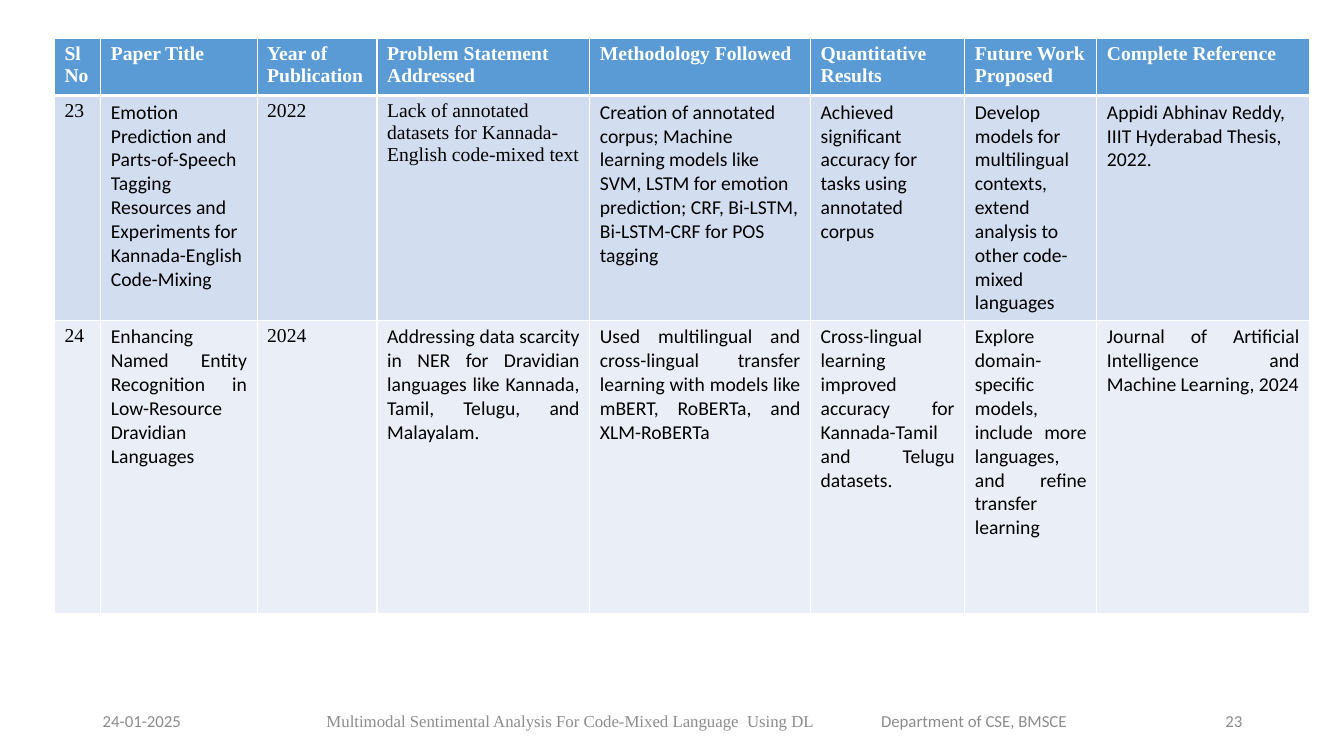
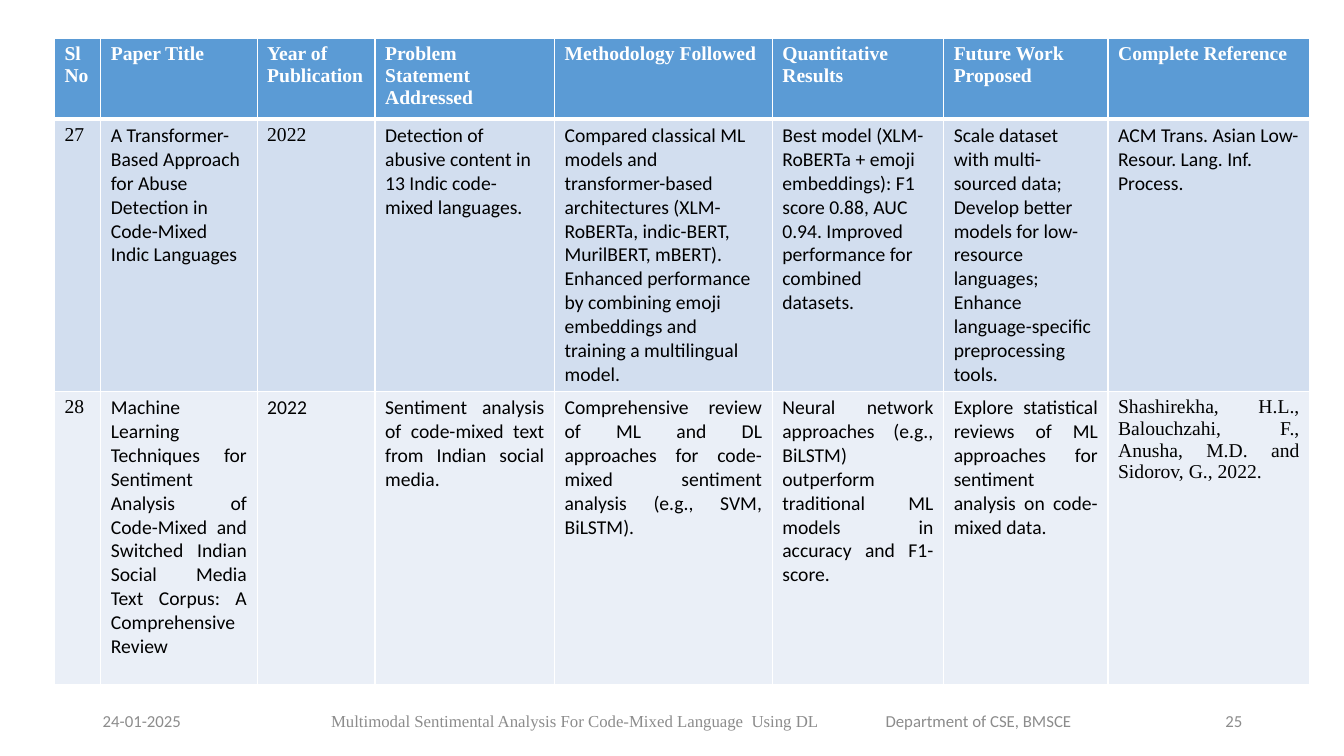
from lxml.etree import SubElement
from pptx import Presentation
from pptx.dml.color import RGBColor
from pptx.enum.text import MSO_ANCHOR, PP_ALIGN
from pptx.oxml.ns import qn
from pptx.util import Inches, Pt

SANS, SERIF = "Calibri", "Times New Roman"
WHITE = RGBColor(0xFF, 0xFF, 0xFF)
BLACK = RGBColor(0, 0, 0)
GRAY = RGBColor(0x8C, 0x8C, 0x8C)
BLUE = RGBColor(0x5B, 0x9B, 0xD5)
BANDS = RGBColor(0xD2, 0xDE, 0xEF), RGBColor(0xEA, 0xEF, 0xF7)
SIZE = 13.33, 7.5
LEFT, TOP = 0.54, 0.38
FOOT_Y, FOOT_H = 6.95, 0.4

DATE = "24-01-2025"
TOPIC = [
    ("Multimodal Sentimental Analysis For Code-Mixed Language  Using DL\t\t", SERIF),
    ("Department of CSE, BMSCE ", SANS),
]
HEADS = [
    "Sl No", "Paper Title", "Year of Publication", "Problem Statement Addressed",
    "Methodology Followed", "Quantitative Results", "Future Work Proposed",
    "Complete Reference",
]
STOP = (".", SERIF)

SLIDES = [
    {
        "page": "23",
        "topic": (1.96, 9.94),
        "cols": [0.46, 1.55, 1.19, 2.11, 2.19, 1.53, 1.31, 2.11],
        "rows": [0.53, 2.23, 2.91],
        "papers": [
            [
                [("23", SERIF)],
                "Emotion Prediction and Parts-of-Speech Tagging Resources and "
                "Experiments for Kannada-English Code-Mixing",
                [("2022", SERIF)],
                [("Lack of annotated datasets for Kannada-English code-mixed text", SERIF)],
                "Creation of annotated corpus; Machine learning models like SVM, LSTM "
                "for emotion prediction; CRF, Bi-LSTM, Bi-LSTM-CRF for POS tagging",
                "Achieved significant accuracy for tasks using annotated corpus",
                "Develop models for multilingual contexts, extend analysis to other "
                "code-mixed languages",
                [("Appidi Abhinav Reddy, IIIT Hyderabad Thesis, 2022", SANS), STOP],
            ],
            [
                [("24", SERIF)],
                "Enhancing Named Entity Recognition in Low-Resource Dravidian Languages",
                [("2024", SERIF)],
                [("Addressing data scarcity in NER for Dravidian languages like "
                  "Kannada, Tamil, Telugu, and Malayalam", SANS), STOP],
                "Used multilingual and cross-lingual transfer learning with models "
                "like mBERT, RoBERTa, and XLM-RoBERTa",
                [("Cross-lingual learning improved accuracy for Kannada-Tamil and "
                  "Telugu datasets", SANS), STOP],
                "Explore domain-specific models, include more languages, and refine "
                "transfer learning",
                "Journal of Artificial Intelligence and Machine Learning, 2024",
            ],
        ],
    },
    {
        "page": "25",
        "topic": (1.91, 10.13),
        "cols": [0.46, 1.55, 1.17, 1.78, 2.16, 1.7, 1.63, 2],
        "rows": [0.75, 2.7, 2.91],
        "papers": [
            [
                [("27", SERIF)],
                "A Transformer-Based Approach for Abuse Detection in Code-Mixed "
                "Indic Languages",
                [("2022", SERIF)],
                "Detection of abusive content in 13 Indic code-mixed languages.",
                "Compared classical ML models and transformer-based architectures "
                "(XLM-RoBERTa, indic-BERT, MurilBERT, mBERT). Enhanced performance by "
                "combining emoji embeddings and training a multilingual model.",
                "Best model (XLM-RoBERTa + emoji embeddings): F1 score 0.88, AUC 0.94. "
                "Improved performance for combined datasets.",
                "Scale dataset with multi-sourced data; Develop better models for "
                "low-resource languages; Enhance language-specific preprocessing tools.",
                "ACM Trans. Asian Low-Resour. Lang. Inf. Process.",
            ],
            [
                [("28", SERIF)],
                "Machine Learning Techniques for Sentiment Analysis of Code-Mixed and "
                "Switched Indian Social Media Text Corpus: A Comprehensive Review",
                "2022",
                "Sentiment analysis of code-mixed text from Indian social media.",
                "Comprehensive review of ML and DL approaches for code-mixed sentiment "
                "analysis (e.g., SVM, BiLSTM).",
                "Neural network approaches (e.g., BiLSTM) outperform traditional ML "
                "models in accuracy and F1-score.",
                "Explore statistical reviews of ML approaches for sentiment analysis "
                "on code-mixed data.",
                [("Shashirekha, H.L., Balouchzahi, F., Anusha, M.D. and Sidorov, G., "
                  "2022.", SERIF)],
            ],
        ],
    },
]


def write(frame, runs, font=SANS, size=14, color=BLACK, bold=False, align=PP_ALIGN.LEFT):
    frame.word_wrap = True
    para = frame.paragraphs[0]
    para.alignment = align
    for words, face in [(runs, font)] if isinstance(runs, str) else runs:
        run = para.add_run()
        run.text = words
        run.font.name = face
        run.font.size = Pt(size)
        run.font.bold = bold
        run.font.color.rgb = color


def footer(slide, page, topic):
    parts = [
        (0.92, 3, DATE, PP_ALIGN.LEFT),
        (*topic, TOPIC, PP_ALIGN.CENTER),
        (9.42, 3, page, PP_ALIGN.RIGHT),
    ]
    for x, width, runs, align in parts:
        box = slide.shapes.add_textbox(
            Inches(x), Inches(FOOT_Y), Inches(width), Inches(FOOT_H))
        box.text_frame.vertical_anchor = MSO_ANCHOR.MIDDLE
        write(box.text_frame, runs, size=12, color=GRAY, align=align)


def border(cell, row):
    props = cell._tc.get_or_add_tcPr()
    widths = {"L": 1, "R": 1, "T": 3 if row == 1 else 1, "B": 3 if row == 0 else 1}
    for side, width in widths.items():
        line = SubElement(props, qn("a:ln" + side), w=str(Pt(width)))
        fill = SubElement(line, qn("a:solidFill"))
        SubElement(fill, qn("a:srgbClr"), val=str(WHITE))


def grid(slide, cols, rows, papers):
    table = slide.shapes.add_table(
        len(rows), len(cols), Inches(LEFT), Inches(TOP),
        Inches(sum(cols)), Inches(sum(rows))).table
    for col, width in zip(table.columns, cols):
        col.width = Inches(width)
    for row, height in zip(table.rows, rows):
        row.height = Inches(height)
    styles = [
        (BLUE, {"font": SERIF, "color": WHITE, "bold": True}),
        (BANDS[0], {}),
        (BANDS[1], {"align": PP_ALIGN.JUSTIFY}),
    ]
    for r, (items, (fill, style)) in enumerate(zip([HEADS, *papers], styles)):
        for c, runs in enumerate(items):
            cell = table.cell(r, c)
            border(cell, r)
            cell.fill.solid()
            cell.fill.fore_color.rgb = fill
            write(cell.text_frame, runs, **style)


def main():
    deck = Presentation()
    deck.slide_width, deck.slide_height = map(Inches, SIZE)
    for data in SLIDES:
        slide = deck.slides.add_slide(deck.slide_layouts[6])
        footer(slide, data["page"], data["topic"])
        grid(slide, data["cols"], data["rows"], data["papers"])
    deck.save("out.pptx")


if __name__ == "__main__":
    main()
